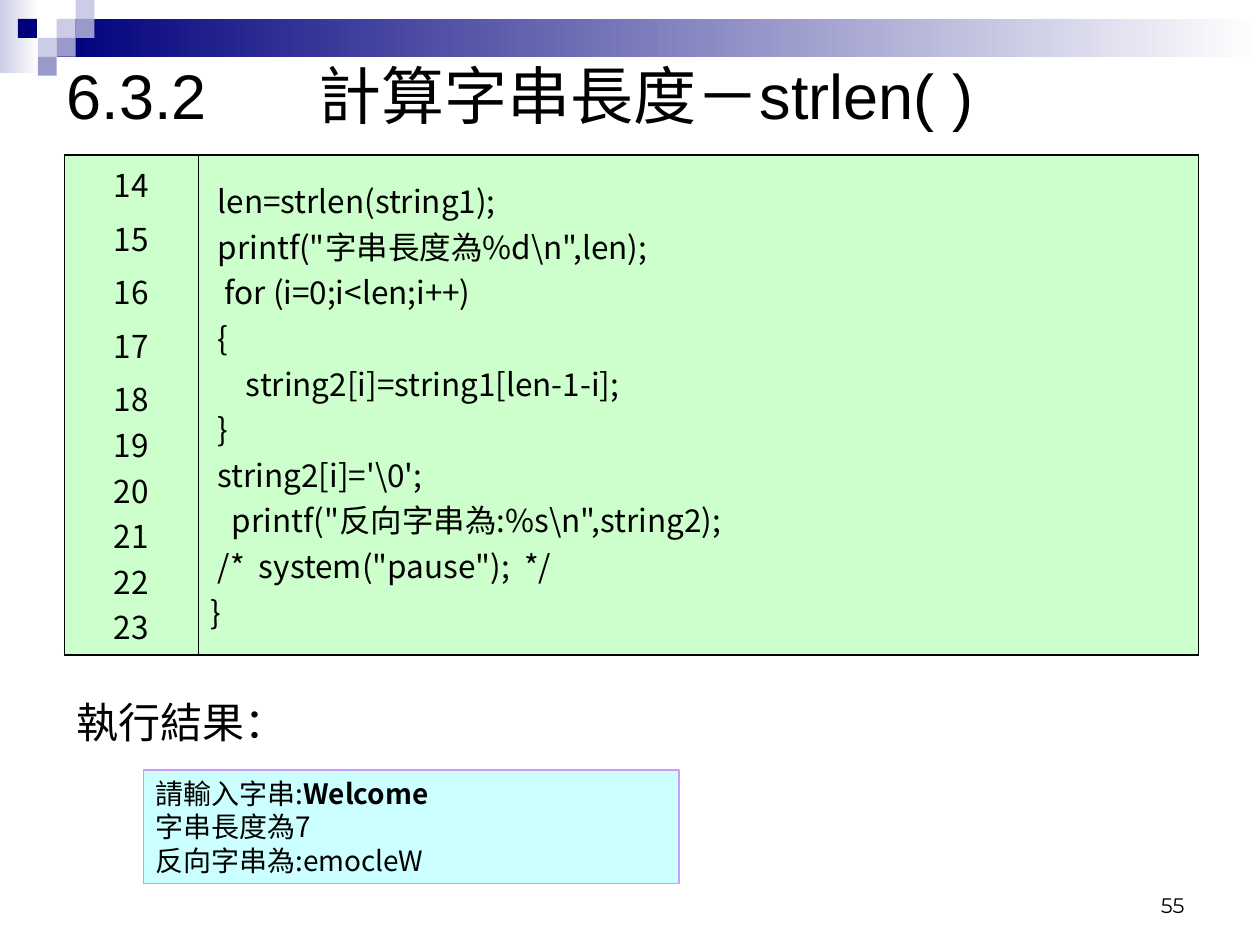
from lxml.etree import SubElement
from pptx import Presentation
from pptx.dml.color import RGBColor
from pptx.enum.shapes import MSO_SHAPE
from pptx.enum.text import MSO_ANCHOR, PP_ALIGN
from pptx.oxml import parse_xml
from pptx.oxml.ns import nsdecls, qn
from pptx.util import Pt

CJK = "Noto Sans CJK TC"
CODE = r"""
 len=strlen(string1);
 printf("字串長度為%d\n",len);
  for (i=0;i<len;i++)
 {
     string2[i]=string1[len-1-i];
 }
 string2[i]='\0';
   printf("反向字串為:%s\n",string2);
 /*  system("pause");  */
}
""".strip("\n")
NUMBERS = ["14", "15", "16", "17", "\n".join(str(n) for n in range(18, 24))]
RESULTS = [("請輸入字串:", "Welcome"), ("字串長度為7", ""), ("反向字串為:emocleW", "")]


def color(value):
    """Turn a hex string into a colour."""
    return RGBColor.from_string(value)


def add_text(p, text, size=18, font=CJK, bold=False, align=PP_ALIGN.LEFT, before=0):
    """Append text to a paragraph, with a line break at each newline."""
    p.alignment = align
    p.space_before = Pt(before)
    for i, line in enumerate(text.split("\n")):
        if i:
            p.add_line_break()
        r = p.add_run()
        r.text = line
        r.font.size = Pt(size)
        r.font.name = font
        r.font.bold = bold
        r.font.color.rgb = color("000000")
        SubElement(r._r.get_or_add_rPr(), qn("a:ea"), typeface=CJK)


def next_paragraph(tf, i):
    """Return the first paragraph of a frame, or a new one after it."""
    return tf.add_paragraph() if i else tf.paragraphs[0]


def add_rect(slide, box, fill, fade=False, line=None):
    """Add a rectangle, plain or fading to white on its right."""
    sp = slide.shapes.add_shape(MSO_SHAPE.RECTANGLE, *map(Pt, box))
    sp.shadow.inherit = False
    if fade:
        sp.fill.gradient()
        sp.fill.gradient_angle = 0
        for stop, value in zip(sp.fill.gradient_stops, (fill, "FFFFFF")):
            stop.color.rgb = color(value)
    else:
        sp.fill.solid()
        sp.fill.fore_color.rgb = color(fill)
    if line:
        sp.line.color.rgb = color(line)
        sp.line.width = Pt(0.75)
    else:
        sp.line.fill.background()
    return sp


def add_banner(slide, left, top, width):
    """Draw the fading bar and the mosaic of small squares."""
    step = 10.8
    add_rect(slide, (left, top, 22.3, 41.8), "CCCCE6", fade=True)
    add_rect(slide, (left + 32.4, top + step, width - 32.4, 21.6), "00007D", fade=True)
    squares = [(3, 1, "CCCCE6"), (4, 0, "CCCCE6"), (4, 1, "9999CC"), (2, 2, "CCCCE6"),
               (0.95, 1, "00007D"), (3, 2, "9999CC"), (2, 3, "9999CC")]
    for col, row, fill in squares:
        add_rect(slide, (left + col * step, top + row * step, step, step), fill)


def add_title(slide, left, top, width, height):
    """Place and fill the title, with a tab after the section number."""
    sp = slide.shapes.title
    sp.left, sp.top, sp.width, sp.height = map(Pt, (left, top, width, height))
    tf = sp.text_frame
    tf.vertical_anchor = MSO_ANCHOR.MIDDLE
    p = tf.paragraphs[0]
    tabs = SubElement(p._p.get_or_add_pPr(), qn("a:tabLst"))
    SubElement(tabs, qn("a:tab"), pos=str(Pt(144)), algn="l")
    add_text(p, "6.3.2\t計算字串長度－strlen( )", size=36, font="Arial")


def set_borders(cell, **widths):
    """Give a cell black borders of the given widths."""
    tcPr = cell._tc.get_or_add_tcPr()
    for i, (side, width) in enumerate(widths.items()):
        tcPr.insert(i, parse_xml(
            f'<a:ln{side} {nsdecls("a")} w="{Pt(width)}"><a:solidFill>'
            f'<a:srgbClr val="000000"/></a:solidFill></a:ln{side}>'))


def add_listing(slide, left, top, width, height):
    """Add the table of line numbers and code."""
    frame = slide.shapes.add_table(1, 2, *map(Pt, (left, top, width, height)))
    table = frame.table
    table.first_row = table.horz_banding = False
    table.columns[0].width = Pt(76.3)
    table.columns[1].width = Pt(width - 76.3)
    numbers, code = table.cell(0, 0), table.cell(0, 1)
    for cell in (numbers, code):
        cell.vertical_anchor = MSO_ANCHOR.MIDDLE
        cell.fill.solid()
        cell.fill.fore_color.rgb = color("CCFFCC")
    set_borders(numbers, L=1.08, R=0.45, T=1.08, B=1.08)
    set_borders(code, L=0.45, R=1.08, T=1.08, B=1.08)
    for i, text in enumerate(NUMBERS):
        add_text(next_paragraph(numbers.text_frame, i), text,
                 align=PP_ALIGN.CENTER, before=4.5 if i else 0)
    add_text(code.text_frame.paragraphs[0], CODE)


def add_label(slide, box, text, anchor=MSO_ANCHOR.TOP, wrap=True, **fmt):
    """Add a text box with one line of text."""
    tf = slide.shapes.add_textbox(*map(Pt, box)).text_frame
    tf.word_wrap = wrap
    tf.vertical_anchor = anchor
    add_text(tf.paragraphs[0], text, **fmt)


def add_results(slide, left, top, width, height):
    """Add the box that shows the program's output."""
    sp = add_rect(slide, (left, top, width, height), "CCFFFF", line="CC99FF")
    tf = sp.text_frame
    tf.word_wrap = True
    tf.vertical_anchor = MSO_ANCHOR.TOP
    for i, (text, typed) in enumerate(RESULTS):
        p = next_paragraph(tf, i)
        add_text(p, text, size=16)
        if typed:
            add_text(p, typed, size=16, bold=True)


def main():
    """Build the slide and save it."""
    prs = Presentation()
    prs.slide_width, prs.slide_height = Pt(720), Pt(540)
    slide = prs.slides.add_slide(prs.slide_layouts[5])
    add_banner(slide, 0, 0, 720)
    add_title(slide, 31, 0, 648, 108)
    add_listing(slide, 36.9, 88.6, 648, 285.6)
    add_label(slide, (36.9, 394.5, 134, 36), "執行結果：", wrap=False, size=24, font="Arial")
    add_results(slide, 82, 440, 306, 64.8)
    add_label(slide, (516, 492, 168, 36), "55", anchor=MSO_ANCHOR.BOTTOM,
              size=12, font="Montserrat", align=PP_ALIGN.RIGHT)
    prs.save("out.pptx")


if __name__ == "__main__":
    main()
